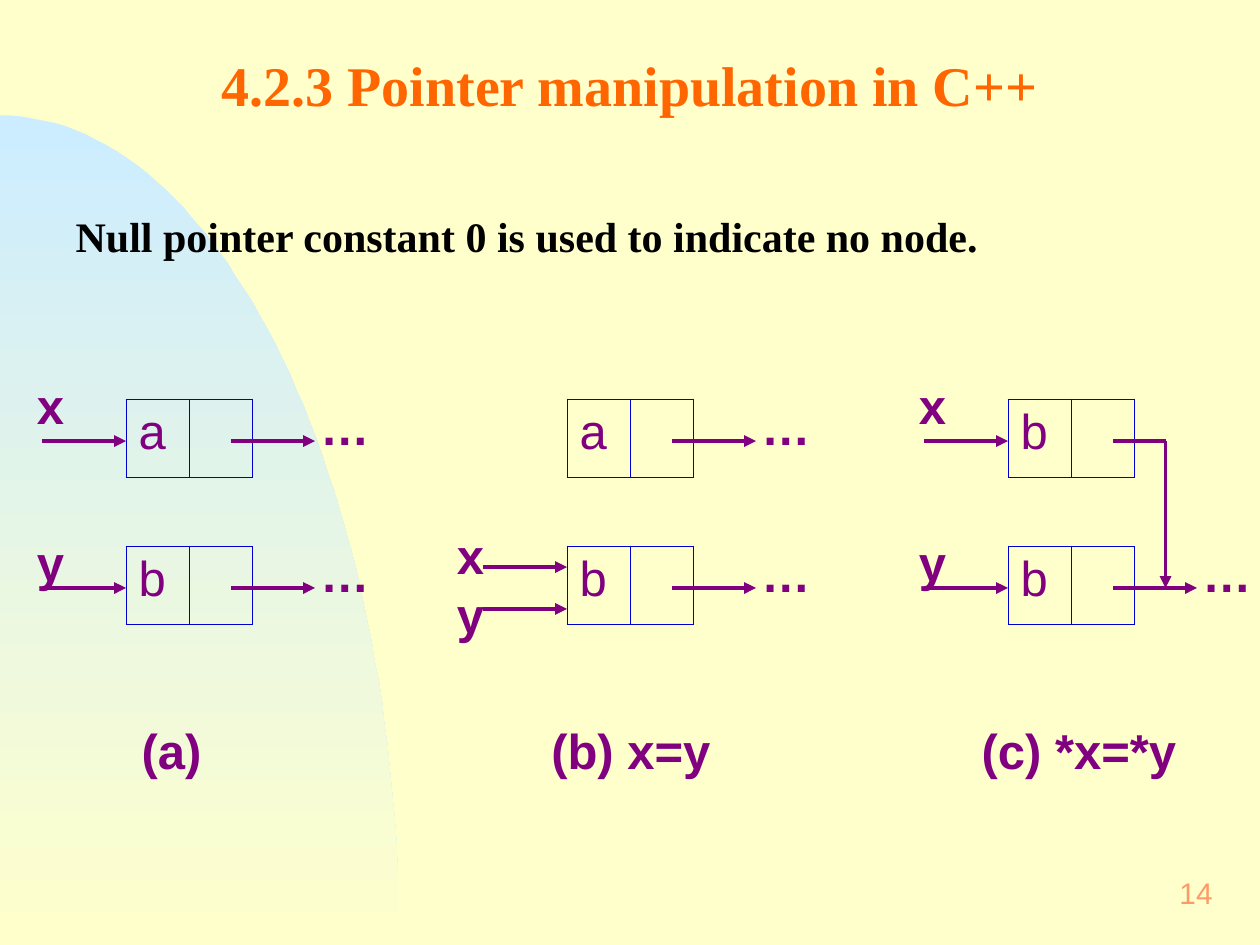
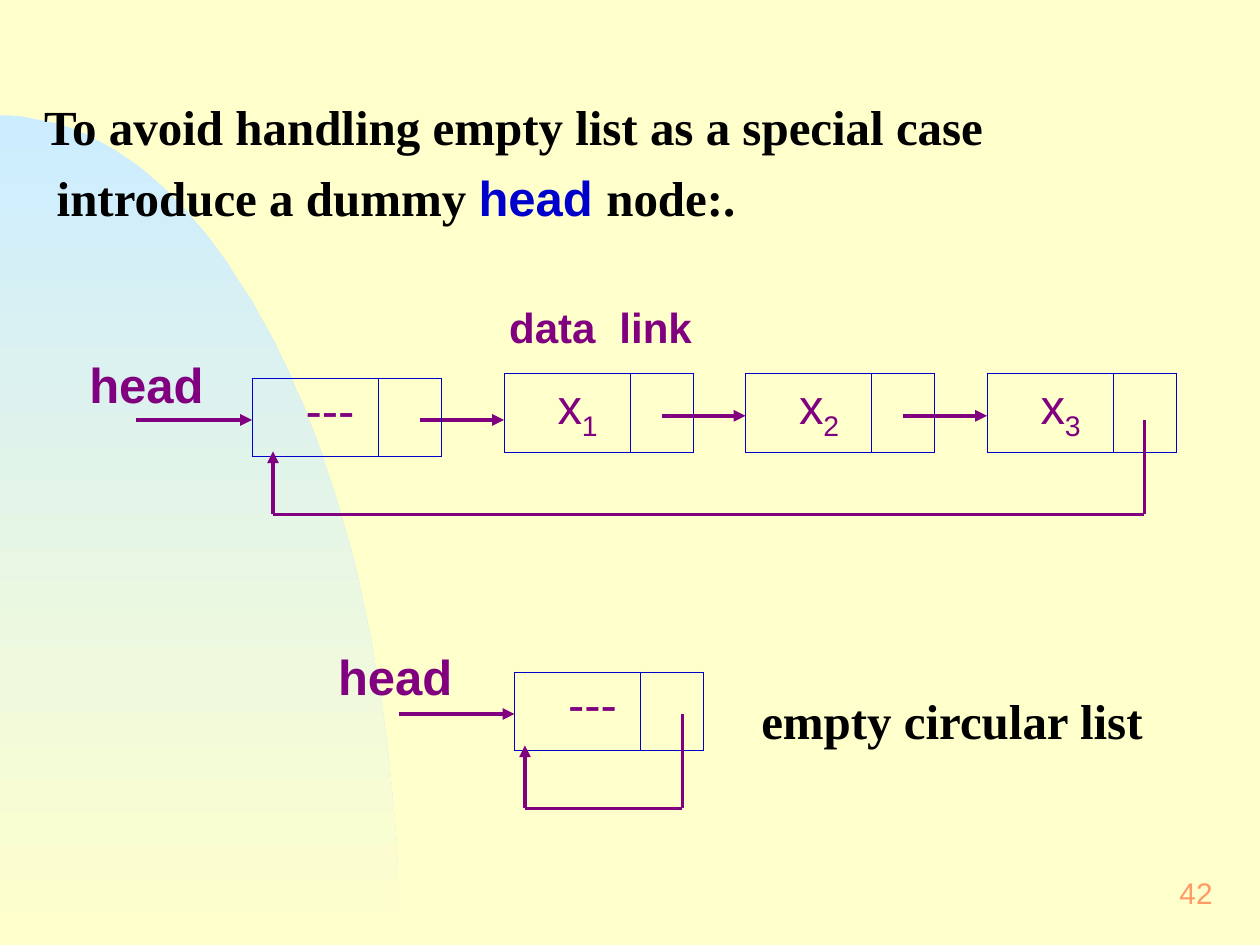
from lxml import etree
from pptx import Presentation
from pptx.dml.color import RGBColor
from pptx.enum.shapes import MSO_CONNECTOR
from pptx.enum.text import MSO_ANCHOR, MSO_AUTO_SIZE, PP_ALIGN
from pptx.oxml.ns import qn
from pptx.util import Pt

PX = 7620
WIDE, HIGH = 1200, 900
CREAM = RGBColor(0xFF, 0xFF, 0xCC)
SKY = RGBColor(0xCC, 0xEC, 0xFF)
ORANGE = RGBColor(0xFF, 0x66, 0x00)
PEACH = RGBColor(0xFF, 0x99, 0x66)
PURPLE = RGBColor(0x80, 0x00, 0x80)
BLUE = RGBColor(0x00, 0x00, 0xCC)
INK = RGBColor(0x01, 0x00, 0x00)
SANS, SERIF = "Arial", "Times New Roman"
STRAIGHT = MSO_CONNECTOR.STRAIGHT
TOP, MIDDLE = MSO_ANCHOR.TOP, MSO_ANCHOR.MIDDLE
LEFT, CENTER, RIGHT = PP_ALIGN.LEFT, PP_ALIGN.CENTER, PP_ALIGN.RIGHT
FIXED = MSO_AUTO_SIZE.NONE
CURVE = (0, 110), (210, 110), (380, 464), (380, HIGH)
STEPS = 60


def px(*sizes):
    return [round(size * PX) for size in sizes]


def bezier(t):
    parts = (1 - t) ** 3, 3 * t * (1 - t) ** 2, 3 * t * t * (1 - t), t ** 3
    return [sum(k * point[axis] for k, point in zip(parts, CURVE)) for axis in (0, 1)]


def style(font, size, color, face, bold=False):
    font.size, font.name, font.bold = Pt(size), face, bold
    font.color.rgb = color


class Deck:
    def __init__(self):
        self.prs = Presentation()
        self.prs.slide_width, self.prs.slide_height = px(WIDE, HIGH)
        fill = self.prs.slide_master.background.fill
        fill.solid()
        fill.fore_color.rgb = CREAM

    def start(self, number):
        self.slide = self.prs.slides.add_slide(self.prs.slide_layouts[1])
        self.shapes = self.slide.shapes
        self.arc()
        self.label(number, 920, 820, 250, 60, size=17, color=PEACH, bold=False,
                   align=RIGHT, anchor=MIDDLE)

    def arc(self):
        build = self.shapes.build_freeform(*CURVE[0], scale=PX)
        build.add_line_segments([bezier(i / STEPS) for i in range(1, STEPS + 1)] + [(0, HIGH)])
        arc = build.convert_to_shape()
        arc.shadow.inherit = False
        arc.line.fill.background()
        arc.fill.gradient()
        arc.fill.gradient_angle = 270
        for stop, color in zip(arc.fill.gradient_stops, (SKY, CREAM)):
            stop.color.rgb = color
        self.shapes.element.insert(2, arc.element)

    def frame(self, shape, pad, anchor=TOP):
        frame = shape.text_frame
        frame.word_wrap = True
        frame.auto_size = FIXED
        frame.vertical_anchor = anchor
        frame.margin_left, frame.margin_top = px(*pad)
        frame.margin_right, frame.margin_bottom = px(*pad)
        return frame

    def place(self, shape, *box):
        shape.left, shape.top, shape.width, shape.height = px(*box)
        return self.frame(shape, (12, 6))

    def title(self, text, *box):
        shape = self.shapes.title
        if not text:
            shape.element.getparent().remove(shape.element)
            return
        para = self.place(shape, *box).paragraphs[0]
        para.text, para.alignment, para.line_spacing = text, CENTER, 0.95
        style(para.font, 32, ORANGE, SERIF, True)

    def body(self, lines, size, *box):
        frame = self.place(self.slide.placeholders[1], *box)
        for i, (indent, runs) in enumerate(lines):
            para = frame.add_paragraph() if i else frame.paragraphs[0]
            prop = para._p.get_or_add_pPr()
            prop.set("marL", str(indent * PX))
            prop.set("indent", "0")
            etree.SubElement(prop, qn("a:buNone"))
            para.alignment = LEFT
            para.space_before = Pt(7 if i else 0)
            if len(runs) == 1:
                style(para.font, size, INK, SERIF, True)
            for text, color, face in runs:
                run = para.add_run()
                run.text = text
                if len(runs) > 1:
                    style(run.font, size, color, face, True)

    def label(self, text, x, y, w, h=71, size=28, color=PURPLE, face=SANS, bold=True,
              align=LEFT, anchor=TOP, tab=0):
        frame = self.frame(self.shapes.add_textbox(*px(x, y, w, h)), (15, 7.5), anchor)
        frame.text = text
        for para in frame.paragraphs:
            if tab:
                tabs = etree.SubElement(para._p.get_or_add_pPr(), qn("a:tabLst"))
                etree.SubElement(tabs, qn("a:tab"), pos=str(tab * PX), algn="l")
            para.alignment = align
            style(para.font, size, color, face, bold)

    def node(self, text, x, y, data=60, sub="", inset=12):
        link = 60
        table = self.shapes.add_table(1, 2, *px(x, y, data + link, 75)).table
        table.first_row = table.horz_banding = False
        for column, width in zip(table.columns, px(data, link)):
            column.width = width
        for cell in table.rows[0].cells:
            cell.fill.background()
            self.border(cell)
        cell = table.cell(0, 0)
        cell.margin_left, cell.margin_top = px(inset, 6)
        para = cell.text_frame.paragraphs[0]
        para.text = text
        if sub:
            run = para.add_run()
            run.text = sub
            run._r.get_or_add_rPr().set("baseline", "-25000")
        style(para.font, 28, PURPLE, SANS)

    def border(self, cell):
        prop = cell._tc.get_or_add_tcPr()
        for i, side in enumerate("LRTB"):
            line = etree.Element(qn("a:ln" + side), w=str(Pt(0.45)))
            fill = etree.SubElement(line, qn("a:solidFill"))
            etree.SubElement(fill, qn("a:srgbClr"), val=str(BLUE))
            prop.insert(i, line)

    def line(self, *ends, head=True):
        wire = self.shapes.add_connector(STRAIGHT, *px(*ends))
        wire.line.color.rgb = PURPLE
        wire.line.width = Pt(2.25)
        prop = wire.element.spPr
        if head:
            etree.SubElement(prop.find(qn("a:ln")), qn("a:tailEnd"), type="triangle")
        etree.SubElement(prop, qn("a:effectLst"))

    def loop(self, x, y, end):
        low = y + 90
        self.line(x, y, x, low, head=False)
        self.line(x, low, end, low, head=False)
        self.line(end, low, end, y + 30)

    def save(self):
        self.prs.save("out.pptx")


def pointers(deck):
    deck.start("14")
    deck.title("4.2.3 Pointer manipulation in C++", 40, 47, 1120, 73)
    text = "Null pointer constant 0 is used to indicate no node."
    deck.body([(0, [(text, INK, SERIF)])], 24, 60, 194, 928, 60)

    upper, lower = 380, 520
    first, second, third = 120, 540, 960
    for x, y, name in ((first, upper, "a"), (first, lower, "b"), (second, upper, "a"),
                       (second, lower, "b"), (third, upper, "b"), (third, lower, "b")):
        deck.node(name, x, y)
        if (x, y) != (third, upper):
            deck.line(x + 100, y + 40, x + 180, y + 40)
            deck.label("…", x + 170, y - 10, 80)

    for x in (first, third):
        for name, y, top in (("x", upper, 350), ("y", lower, 500)):
            deck.label(name, x - 100, top, 80)
            deck.line(x - 80, y + 40, x, y + 40)

    deck.label("x\ny", second - 120, 493, 80, 127)
    for y in (lower + 20, lower + 60):
        deck.line(second - 80, y, second, y)

    bend = third + 150
    deck.line(third + 100, upper + 40, bend, upper + 40, head=False)
    deck.line(bend, upper + 40, bend, lower + 40)

    for text, x, w in (("(a)", 120, 120), ("(b) x=y", 510, 200), ("(c) *x=*y", 920, 240)):
        deck.label(text, x, 679, w)


def circular(deck):
    deck.start("42")
    deck.title("")
    deck.body([
        (0, [("To avoid handling empty list as a special case", INK, SERIF)]),
        (12, [("introduce a dummy ", INK, SERIF), ("head ", BLUE, SANS),
              ("node:.", INK, SERIF)]),
    ], 28, 30, 86, 1150, 136)

    data, inset = 120, 51
    deck.label("data\tlink", 470, 280, 230, 62, size=24, tab=105)
    for i in range(3):
        x = 480 + 230 * i
        deck.node("x", x, 356, data, str(i + 1), inset)
        if i:
            deck.line(x - 80, 396, x, 396)
    deck.line(400, 400, 480, 400)

    for x, y, left, top, start, end in ((240, 360, 70, 330, 1090, 260),
                                        (490, 640, 307, 608, 650, 500)):
        deck.node("---", x, y, data, inset=inset)
        deck.label("head", left, top, 143)
        deck.line(x - 110, y + 40, x, y + 40)
        deck.loop(start, y + 40, end)
    deck.label("empty circular list", 710, 650, 448, color=INK, face=SERIF)


def main():
    deck = Deck()
    pointers(deck)
    circular(deck)
    deck.save()


if __name__ == "__main__":
    main()
